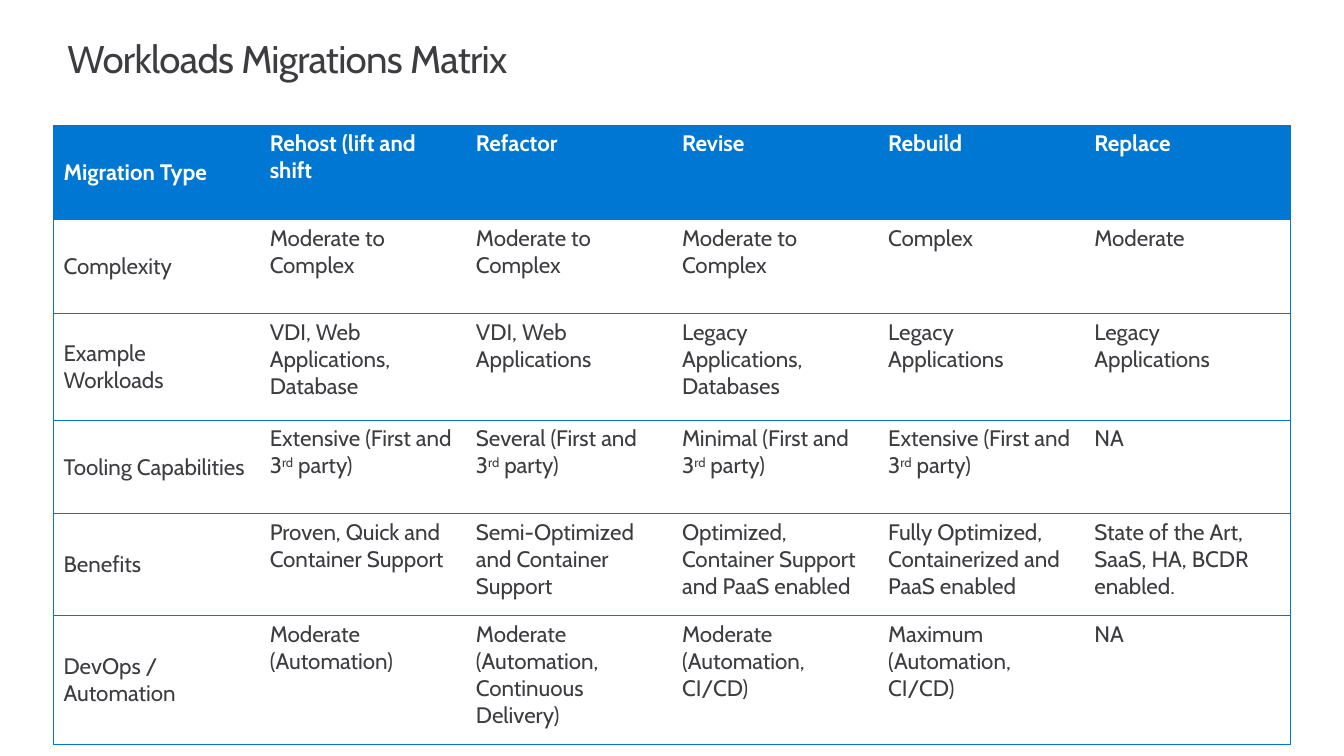
"""Builds the workloads migrations matrix slide."""
import pptx
import pptx.dml.color
import pptx.enum.text
import pptx.oxml.ns
import pptx.util
from lxml import etree

Cm, Pt, qn = pptx.util.Cm, pptx.util.Pt, pptx.oxml.ns.qn
ANCHOR = pptx.enum.text.MSO_ANCHOR
BLUE, DARK, WHITE = "0078D3", "3C3C41", "FFFFFF"
SUPERSCRIPT_MARK = "^"


def style(r, size, color, bold=False):
    r.font.name = "Cabin"
    r.font.size = Pt(size)
    r.font.bold = bold
    r.font.color.rgb = pptx.dml.color.RGBColor.from_string(color)


def border(cell, side, color=None):
    ln = etree.SubElement(cell._tc.get_or_add_tcPr(), qn("a:ln" + side), w=str(Pt(0.75)))
    if color:
        fill = etree.SubElement(ln, qn("a:solidFill"))
        etree.SubElement(fill, qn("a:srgbClr"), val=color)
    else:
        etree.SubElement(ln, qn("a:noFill"))


prs = pptx.Presentation()
prs.slide_width, prs.slide_height = Cm(33.87), Cm(19.05)
s = prs.slides.add_slide(prs.slide_layouts[5])

title = s.shapes.title
title.left, title.top, title.width, title.height = Cm(1.7), Cm(0.76), Cm(31.17), Cm(2.11)
tf = title.text_frame
tf.word_wrap = True
tf.auto_size = pptx.enum.text.MSO_AUTO_SIZE.NONE
tf.vertical_anchor = ANCHOR.TOP
tf.margin_left, tf.margin_right = 0, Cm(0.41)
tf.margin_top = tf.margin_bottom = Cm(0.25)
p = tf.paragraphs[0]
p.alignment = pptx.enum.text.PP_ALIGN.LEFT
p.line_spacing = 0.9
r = p.add_run()
r.text = "Workloads Migrations Matrix"
style(r, 27.5, DARK)
r.font._element.set("spc", "-50")

matrix = [
    (2.39, ["Migration Type", "Rehost (lift and shift", "Refactor", "Revise",
            "Rebuild", "Replace"]),
    (2.36, ["Complexity", "Moderate to Complex", "Moderate to Complex",
            "Moderate to Complex", "Complex", "Moderate"]),
    (2.69, ["Example Workloads", "VDI, Web Applications, Database",
            "VDI, Web Applications", "Legacy Applications, Databases",
            "Legacy Applications", "Legacy Applications"]),
    (2.36, ["Tooling Capabilities", "Extensive (First and 3^rd^ party)",
            "Several (First and 3^rd^ party)", "Minimal (First and 3^rd^ party)",
            "Extensive (First and 3^rd^ party)", "NA"]),
    (2.57, ["Benefits", "Proven, Quick and Container Support",
            "Semi-Optimized and Container Support",
            "Optimized, Container Support and PaaS enabled",
            "Fully Optimized, Containerized and PaaS enabled",
            "State of the Art, SaaS, HA, BCDR enabled."]),
    (3.25, ["DevOps / Automation", "Moderate\n(Automation)",
            "Moderate\n(Automation, Continuous Delivery)",
            "Moderate (Automation, CI/CD)", "Maximum (Automation, CI/CD)", "NA"]),
]
rows, cols = len(matrix), len(matrix[0][1])
height = sum(h for h, _ in matrix)
table = s.shapes.add_table(rows, cols, Cm(1.35), Cm(3.15), Cm(31.17), Cm(height)).table
table.horz_banding = False
for column in table.columns:
    column.width = Cm(31.17 / cols)

for i, (row_height, texts) in enumerate(matrix):
    table.rows[i].height = Cm(row_height)
    for j, text in enumerate(texts):
        cell = table.cell(i, j)
        cell.vertical_anchor = ANCHOR.TOP if j else ANCHOR.MIDDLE
        border(cell, "L", None if j else BLUE)
        border(cell, "R", BLUE if j == cols - 1 else None)
        border(cell, "T", BLUE)
        border(cell, "B", BLUE)
        if i == 0:
            cell.fill.solid()
            cell.fill.fore_color.rgb = pptx.dml.color.RGBColor.from_string(BLUE)
        else:
            cell.fill.background()
        tf = cell.text_frame
        for k, line in enumerate(text.split("\n")):
            p = tf.add_paragraph() if k else tf.paragraphs[0]
            for n, part in enumerate(line.split(SUPERSCRIPT_MARK)):
                r = p.add_run()
                r.text = part
                style(r, 16, DARK if i else WHITE, i == 0)
                if n == 1:
                    r.font._element.set("baseline", "30000")

prs.save("out.pptx")
